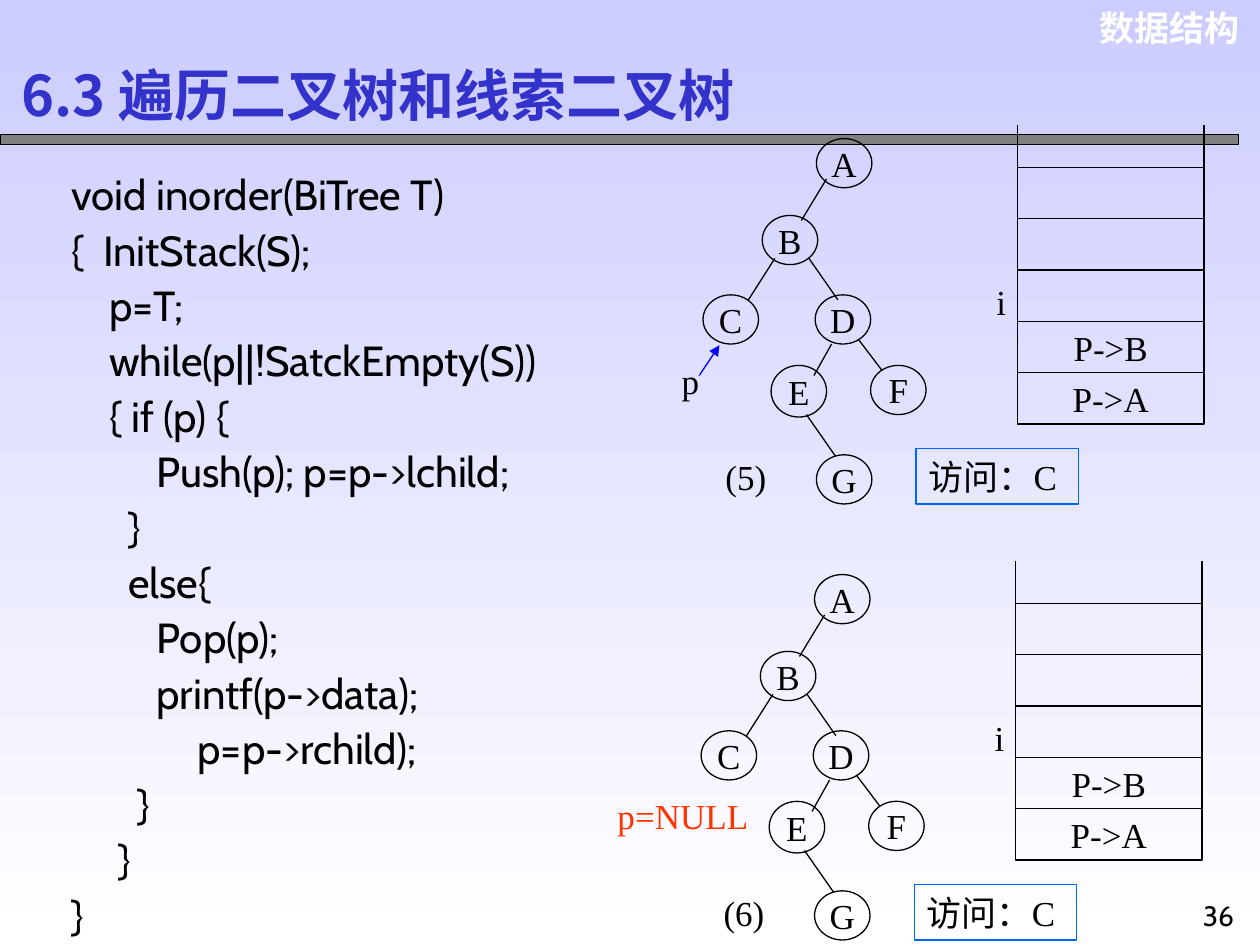
from lxml import etree
from pptx import Presentation
from pptx.dml.color import RGBColor
from pptx.enum.shapes import MSO_CONNECTOR, MSO_SHAPE
from pptx.enum.text import MSO_ANCHOR, MSO_AUTO_SIZE, PP_ALIGN
from pptx.oxml.ns import qn
from pptx.util import Inches, Pt

LEFT, CENTER, RIGHT = PP_ALIGN.LEFT, PP_ALIGN.CENTER, PP_ALIGN.RIGHT
TOP, MIDDLE = MSO_ANCHOR.TOP, MSO_ANCHOR.MIDDLE
FIT, NO_FIT = MSO_AUTO_SIZE.SHAPE_TO_FIT_TEXT, MSO_AUTO_SIZE.NONE
RECT, OVAL = MSO_SHAPE.RECTANGLE, MSO_SHAPE.OVAL
STRAIGHT = MSO_CONNECTOR.STRAIGHT

BLACK = RGBColor(0x00, 0x00, 0x00)
WHITE = RGBColor(0xFF, 0xFF, 0xFF)
GRAY = RGBColor(0x80, 0x80, 0x80)
LAVENDER = RGBColor(0xCC, 0xCC, 0xFF)
INDIGO = RGBColor(0x33, 0x33, 0xCC)
BLUE = RGBColor(0x00, 0x00, 0xFF)
FRAME_BLUE = RGBColor(0x00, 0x66, 0xFF)
RED = RGBColor(0xFF, 0x33, 0x00)
SERIF, SANS = "Times New Roman", "Cabin"

prs = Presentation()
prs.slide_width, prs.slide_height = Inches(10), Inches(7.5)
COL, ROW = prs.slide_width / 100, prs.slide_height / 75
s = prs.slides.add_slide(prs.slide_layouts[5])

fill = s.background.fill
fill.gradient()
fill.gradient_angle = 270
for stop, color in zip(fill.gradient_stops, (LAVENDER, WHITE)):
    stop.color.rgb = color


def add_box(x, y, w, h, text="", kind=None, line=BLACK, size=20, font=SERIF,
            color=BLACK, align=CENTER, anchor=MIDDLE, wrap=False, fit=FIT):
    place = [int(x * COL), int(y * ROW), int(w * COL), int(h * ROW)]
    if kind is None:
        sp = s.shapes.add_textbox(*place)
    else:
        sp = s.shapes.add_shape(kind, *place)
        sp.shadow.inherit = False
        sp.fill.background()
        sp.line.color.rgb = line
        sp.line.width = Pt(0.75)
    tf = sp.text_frame
    tf.word_wrap = wrap
    tf.auto_size = fit
    tf.vertical_anchor = anchor
    tf.text = text
    for p in tf.paragraphs:
        p.alignment = align
        for r in p.runs:
            r.font.size = Pt(size)
            r.font.name = font
            r.font.color.rgb = color
    return sp


def add_line(x1, y1, x2, y2, color=BLACK):
    cx = s.shapes.add_connector(STRAIGHT, int(x1 * COL), int(y1 * ROW),
                                int(x2 * COL), int(y2 * ROW))
    cx.line.color.rgb = color
    cx.line.width = Pt(0.75)
    etree.SubElement(cx._element.spPr, qn("a:effectLst"))
    return cx


sp = add_box(85.7, 0, 13.7, 4.4, "数据结构", font="Arial", color=WHITE,
             align=RIGHT, anchor=TOP, wrap=True)
sp.text_frame.paragraphs[0].runs[0].font.bold = True

bar = add_box(0, 10.7, 98.3, 0.8, kind=RECT, fit=NO_FIT)
bar.fill.solid()
bar.fill.fore_color.rgb = GRAY

title = s.shapes.title
title.left, title.top = int(0.7 * COL), int(4.6 * ROW)
title.width, title.height = int(67.5 * COL), int(5.7 * ROW)
tf = title.text_frame
tf.text = "6.3 遍历二叉树和线索二叉树"
tf.word_wrap = True
tf.auto_size = NO_FIT
tf.vertical_anchor = MIDDLE
p = tf.paragraphs[0]
p.alignment = LEFT
r = p.runs[0]
r.font.size = Pt(32)
r.font.name = "Noto Sans CJK SC"
r.font.bold = True
r.font.color.rgb = INDIGO

add_box(94.2, 70.8, 5, 4.2, "36", size=16, font=SANS, anchor=TOP, wrap=True)

CODE = [
    "void inorder(BiTree T)",
    "{  InitStack(S);",
    "    p=T;\v    while(p||!SatckEmpty(S))",
    "    { if (p) {",
    "         Push(p); p=p->lchild;",
    "      }",
    "      else{",
    "         Pop(p);",
    "         printf(p->data);",
    "\tp=p->rchild);",
    "       }",
    "     }",
    "}",
]
sp = add_box(4.7, 12.5, 44.1, 67, "\n".join(CODE), size=24, font=SANS,
             align=LEFT, anchor=TOP, wrap=True)
for p in sp.text_frame.paragraphs:
    p.line_spacing = 1.1
    tabs = etree.SubElement(p._p.get_or_add_pPr(), qn("a:tabLst"))
    etree.SubElement(tabs, qn("a:tab"), pos=str(Inches(1)), algn="l")

NODES = [("A", 64.8, 11, 3.9), ("B", 60.5, 17.1, 3.9), ("C", 55.8, 23.4, 3.9),
         ("D", 64.7, 23.4, 3.9), ("E", 61.2, 29, 4.1), ("F", 69.1, 29, 3.9),
         ("G", 64.8, 36.1, 3.9)]
EDGES = [(65.6, 14.2, 63.6, 17.5), (61.5, 20.5, 59.4, 23.8),
         (64.2, 20.5, 66.5, 23.8), (66, 27.3, 64.6, 29.8),
         (68.1, 26.9, 70, 29.4), (64, 32.9, 66.3, 36.2)]
STACK = ["", "", "", "P->B", "P->A"]
STACK_X, STACK_Y, CELL_W, CELL_H = 80.75, 13.3, 14.8, 4.07
STEPS = [("(5)", "p", 48.6, 28, BLACK, 0, 0),
         ("(6)", "p=NULL", 48, 62.5, RED, -0.15, 34.6)]

for step, pointer, px, py, color, dx, dy in STEPS:
    add_box(px, py, 12.4, 4.4, pointer, color=color, wrap=True)
    for name, x, y, h in NODES:
        add_box(x + dx, y + dy, 4.4, h, name, OVAL, fit=NO_FIT)
    for x1, y1, x2, y2 in EDGES:
        add_line(x1 + dx, y1 + dy, x2 + dx, y2 + dy)
    add_box(78.1 + dx, 21.7 + dy, 2.7, 4.4, "i")
    for i, value in enumerate(STACK):
        add_box(STACK_X + dx, STACK_Y + i * CELL_H + dy, CELL_W, CELL_H,
                value, RECT, fit=NO_FIT)
    for x in (STACK_X, STACK_X + CELL_W):
        add_line(x + dx, 9.95 + dy, x + dx, STACK_Y + dy)
    add_box(72.7 + dx, 35.6 + dy, 12.9, 4.4, "访问：C", RECT, FRAME_BLUE,
            align=LEFT)
    add_box(56.2 + dx, 35.6 + dy, 6, 4.4, step)

arrow = add_line(55.5, 29.8, 57.1, 27.4, BLUE)
etree.SubElement(arrow.line._get_or_add_ln(), qn("a:tailEnd"), type="triangle")

prs.save("out.pptx")
